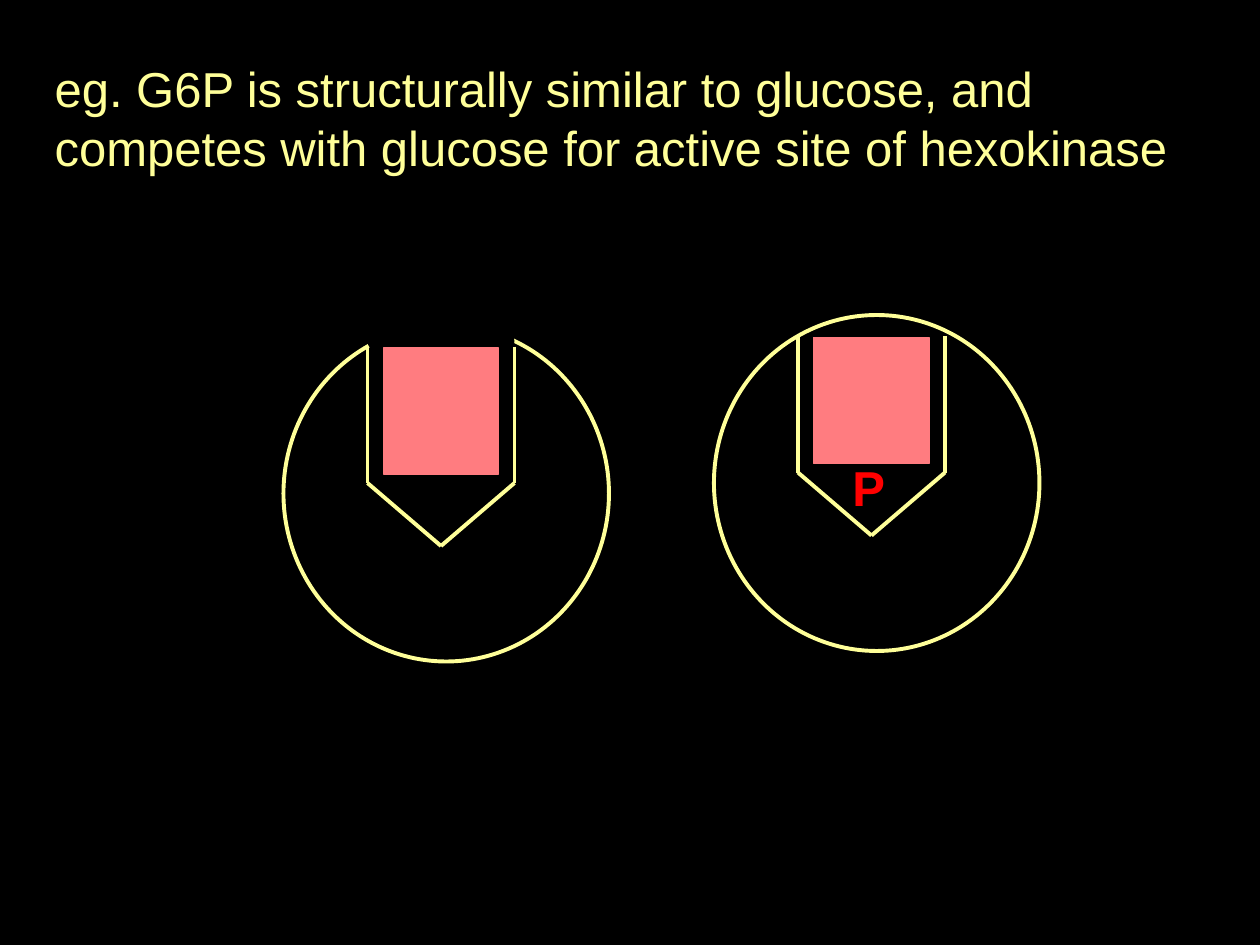
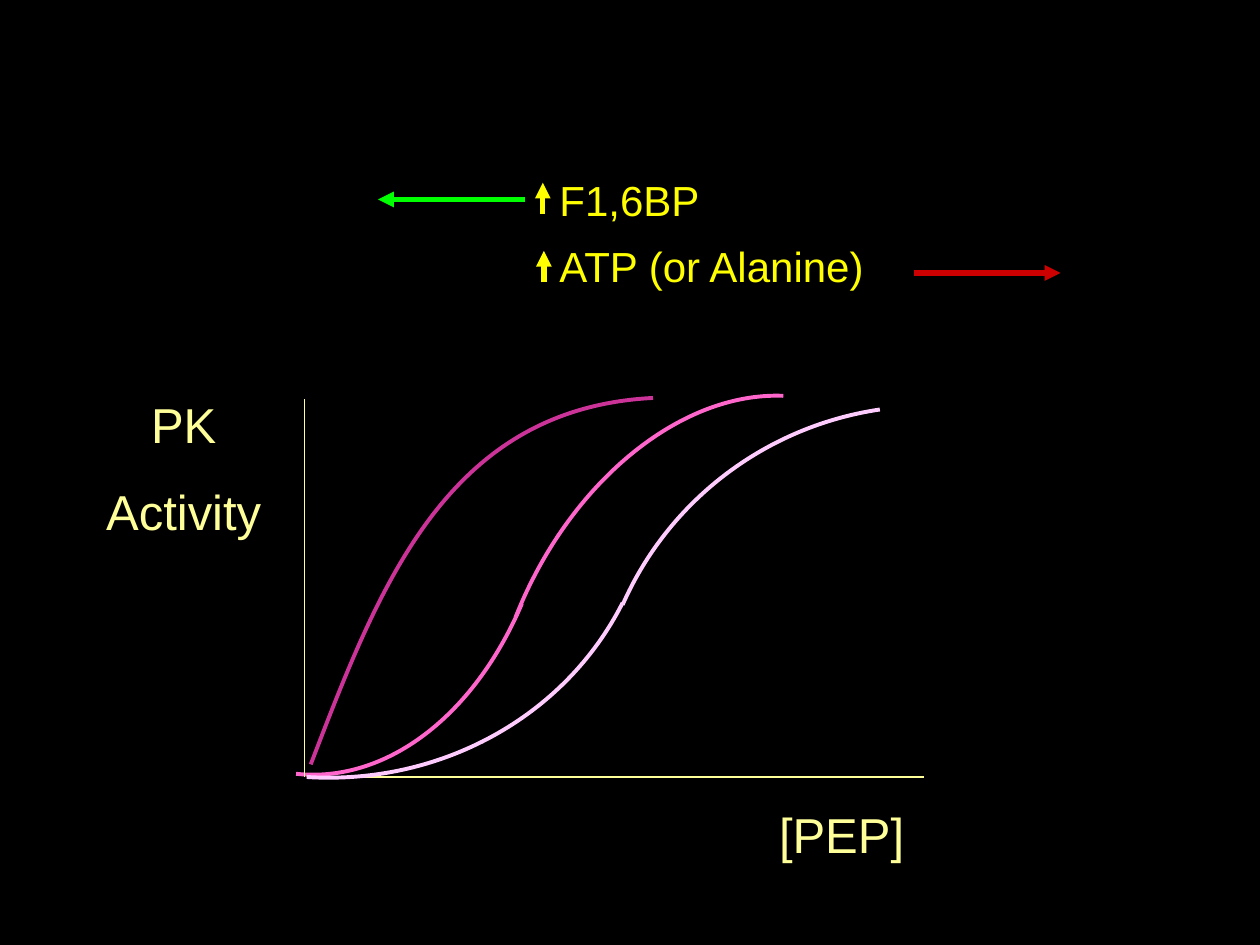
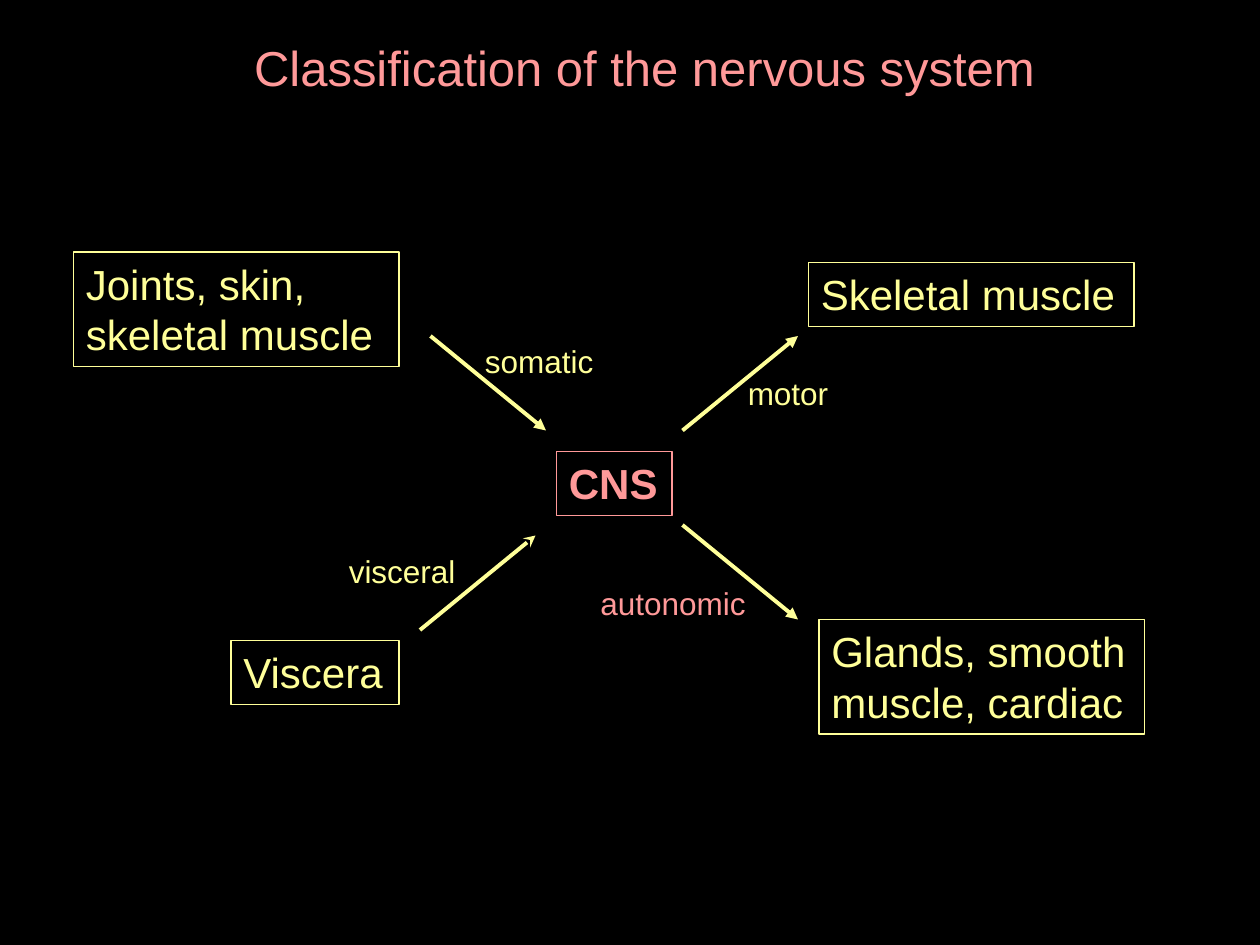
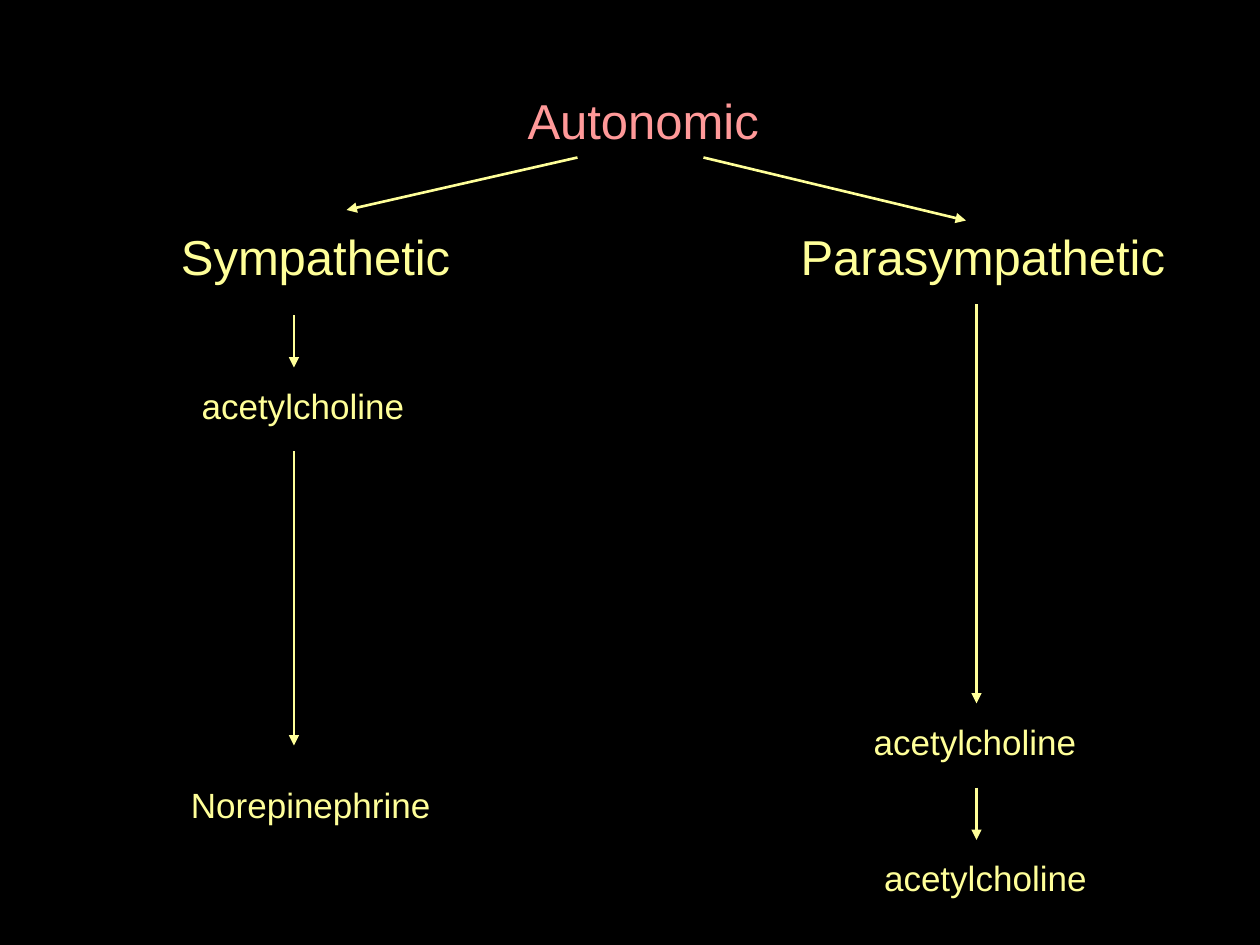
from lxml.etree import SubElement
from pptx import Presentation
from pptx.dml.color import RGBColor
from pptx.enum.shapes import MSO_CONNECTOR, MSO_SHAPE
from pptx.enum.text import MSO_ANCHOR, MSO_AUTO_SIZE, PP_ALIGN
from pptx.oxml.ns import qn
from pptx.util import Inches, Pt

# All lengths are cells of a 120 x 90 grid, twelve cells to the inch.
COLUMNS, ROWS = 120, 90
CELL = Inches(1) // 12
TITLE_ONLY, BLANK = 5, 6
FONT = "Arial"
COLORS = {
    "background": "000000",
    "cream": "FFFF99",
    "salmon": "FF9999",
    "substrate": "FF7C80",
    "phosphate": "FF0000",
    "yellow": "FFFF00",
    "green": "00FF00",
    "red": "CC0000",
    "purple": "CC3399",
    "pink": "FF66CC",
    "pale": "FFCCFF",
}


def rgb(name):
    return RGBColor.from_string(COLORS[name])


def cells(*values):
    return [round(v * CELL) for v in values]


def write(sp, text, size, color="cream", align=PP_ALIGN.LEFT, wrap=True, bold=False):
    tf = sp.text_frame
    tf.text = text
    tf.word_wrap = wrap
    tf.auto_size = MSO_AUTO_SIZE.SHAPE_TO_FIT_TEXT
    tf.vertical_anchor = MSO_ANCHOR.TOP
    for i, p in enumerate(tf.paragraphs):
        p.alignment = align
        p.space_before = Pt(size * 0.57 if i else 0)
        for r in p.runs:
            r.font.name = FONT
            r.font.size = Pt(size)
            r.font.bold = bold
            r.font.color.rgb = rgb(color)


def add_title(slide, box, text, **style):
    sp = slide.shapes.title
    sp.left, sp.top, sp.width, sp.height = cells(*box)
    write(sp, text, 28, **style)


def add_text(shapes, box, text, size, **style):
    write(shapes.add_textbox(*cells(*box)), text, size, **style)


def add_label(shapes, box, text, size, **style):
    """Centred text on a line that does not wrap."""
    add_text(shapes, box, text, size, align=PP_ALIGN.CENTER, wrap=False, **style)


def add_shape(shapes, kind, box, fill=None, line=None, width=0.75):
    sp = shapes.add_shape(kind, *cells(*box))
    sp.shadow.inherit = False
    if fill:
        sp.fill.solid()
        sp.fill.fore_color.rgb = rgb(fill)
    else:
        sp.fill.background()
    if line:
        sp.line.color.rgb = rgb(line)
        sp.line.width = Pt(width)
    else:
        sp.line.fill.background()
    return sp


def add_box(shapes, box, text, color="cream", bold=False):
    sp = add_shape(shapes, MSO_SHAPE.RECTANGLE, box, line=color)
    write(sp, text, 24, color=color, bold=bold)


def add_line(shapes, start, end, color="cream", width=2.25, head=None):
    line = shapes.add_connector(MSO_CONNECTOR.STRAIGHT, *cells(*start, *end))
    line.line.color.rgb = rgb(color)
    line.line.width = Pt(width)
    sp_pr = line._element.spPr
    if head:
        SubElement(sp_pr.find(qn("a:ln")), qn("a:tailEnd"), type=head)
    SubElement(sp_pr, qn("a:effectLst"))


def add_arrow(shapes, start, end, color="cream", width=2.25, head="triangle"):
    add_line(shapes, start, end, color, width, head)


def add_curve(shapes, color, *points):
    """Open Bezier curve through a start, two control points and an end."""
    start, *rest = [cells(*point) for point in points]
    builder = shapes.build_freeform(*start)
    builder.add_line_segments(rest, close=False)
    sp = builder.convert_to_shape()
    sp.shadow.inherit = False
    sp.fill.background()
    sp.line.color.rgb = rgb(color)
    sp.line.width = Pt(2.25)
    path = next(sp._element.iter(qn("a:path")))
    bezier = SubElement(path, qn("a:cubicBezTo"))
    for segment in path.findall(qn("a:lnTo")):
        bezier.append(segment[0])
        path.remove(segment)


def add_enzyme(slide, x, y, inhibitor):
    """Enzyme with a substrate in its pocket, either phosphorylated or open on top."""
    shapes = slide.shapes.add_group_shape().shapes
    add_shape(shapes, MSO_SHAPE.OVAL, (x, y, 31, 32), line="cream", width=2.25)
    tip = (x + 15, y + 21)
    for wall in (x + 8, x + 22):
        add_line(shapes, (wall, y + 2), (wall, y + 15))
        add_line(shapes, (wall, y + 15), tip)
    if not inhibitor:
        add_shape(shapes, MSO_SHAPE.OVAL, (x + 8, y - 1, 14, 5), fill="background")
    add_shape(shapes, MSO_SHAPE.RECTANGLE, (x + 9.5, y + 2.15, 11, 12),
              fill="substrate", line="substrate")
    if inhibitor:
        add_label(shapes, (x + 12, y + 13, 5.5, 6.8), "P", 28,
                  color="phosphate", bold=True)


def build_inhibition(slide):
    add_enzyme(slide, 68, 30, inhibitor=True)
    add_enzyme(slide, 27, 31, inhibitor=False)
    add_title(slide, (4, 5, 111, 12.4),
              "eg. G6P is structurally similar to glucose, and "
              "competes with glucose for active site of hexokinase")


def build_kinetics(slide):
    shapes = slide.shapes
    add_label(shapes, (73, 76, 14.3, 6.8), "[PEP]", 28)
    add_text(shapes, (8, 37, 19, 15.2), "PK\nActivity", 28, align=PP_ALIGN.CENTER)

    add_curve(shapes, "pink", (49.7, 57.5), (45.1, 68.3), (36.7, 74.6), (28.2, 73.7))
    add_curve(shapes, "pink", (49.1, 58.8), (54.1, 46.1), (64.7, 37.3), (74.6, 37.7))
    add_curve(shapes, "purple", (29.6, 72.8), (36.1, 55.9), (42.5, 38.9), (62.2, 37.9))
    add_line(shapes, (29, 74), (29, 38), width=0.75)
    add_line(shapes, (29.4, 74), (88, 74), width=0.75)
    add_curve(shapes, "pale", (59.3, 57.4), (53.8, 68.3), (41.9, 74.8), (29.2, 74))
    add_curve(shapes, "pale", (59.3, 57.6), (63.7, 47.6), (73, 40.6), (83.8, 39))

    add_text(shapes, (52.1, 16, 22, 6), "F1,6BP", 24, color="yellow")
    add_text(shapes, (52.1, 22.35, 35, 6), "ATP (or Alanine)", 24, color="yellow")
    for start, end, color in (
        ((50, 19), (36, 19), "green"),
        ((87, 26), (101, 26), "red"),
        ((51.8, 26.9), (51.8, 23.9), "yellow"),
        ((51.7, 20.4), (51.7, 17.4), "yellow"),
    ):
        add_arrow(shapes, start, end, color, width=3)


def build_nervous_system(slide):
    shapes = slide.shapes
    add_box(shapes, (7, 24, 31, 10.9), "Joints, skin, skeletal muscle")
    add_box(shapes, (22, 61, 16, 6.1), "Viscera")
    add_box(shapes, (77, 25, 31, 6.1), "Skeletal muscle")
    add_box(shapes, (78, 59, 31, 10.9), "Glands, smooth muscle, cardiac")
    add_box(shapes, (53, 43, 11, 6.1), "CNS", color="salmon", bold=True)
    add_title(slide, (23, 3, 77, 6.8), "Classification of the nervous system",
              color="salmon", wrap=False)

    add_arrow(shapes, (40, 60), (51, 51), head="stealth")
    add_arrow(shapes, (65, 41), (76, 32))
    add_arrow(shapes, (41, 32), (52, 41))
    add_arrow(shapes, (65, 50), (76, 59))

    add_label(shapes, (45, 32, 12.7, 4.8), "somatic", 18)
    add_label(shapes, (32, 52, 12.6, 4.8), "visceral", 18)
    add_label(shapes, (70, 35, 10.1, 4.8), "motor", 18)
    add_label(shapes, (56, 55, 16.2, 4.8), "autonomic", 18, color="salmon")


def build_autonomic(slide):
    shapes = slide.shapes
    add_title(slide, (49, 8, 24.5, 6.8), "Autonomic",
              color="salmon", align=PP_ALIGN.CENTER, wrap=False)
    add_label(shapes, (16, 21, 28.1, 6.8), "Sympathetic", 28)
    add_label(shapes, (75, 21, 37.2, 6.8), "Parasympathetic", 28)
    for x, y in ((18, 36), (82, 68), (83, 81)):
        add_label(shapes, (x, y, 21.7, 5.2), "acetylcholine", 20)
    add_text(shapes, (17, 74, 27, 5.2), "Norepinephrine", 20)

    for x, top, bottom in ((28, 30, 35), (28, 43, 71), (93, 29, 67), (93, 75, 80)):
        add_arrow(shapes, (x, top), (x, bottom), width=1.5)
    add_arrow(shapes, (55, 15), (33, 20), width=1.5)
    add_arrow(shapes, (67, 15), (92, 21), width=1.5)


def main():
    prs = Presentation()
    prs.slide_width, prs.slide_height = cells(COLUMNS, ROWS)
    fill = prs.slide_master.background.fill
    fill.solid()
    fill.fore_color.rgb = rgb("background")
    for layout, build in (
        (TITLE_ONLY, build_inhibition),
        (BLANK, build_kinetics),
        (TITLE_ONLY, build_nervous_system),
        (TITLE_ONLY, build_autonomic),
    ):
        build(prs.slides.add_slide(prs.slide_layouts[layout]))
    prs.save("out.pptx")


if __name__ == "__main__":
    main()
